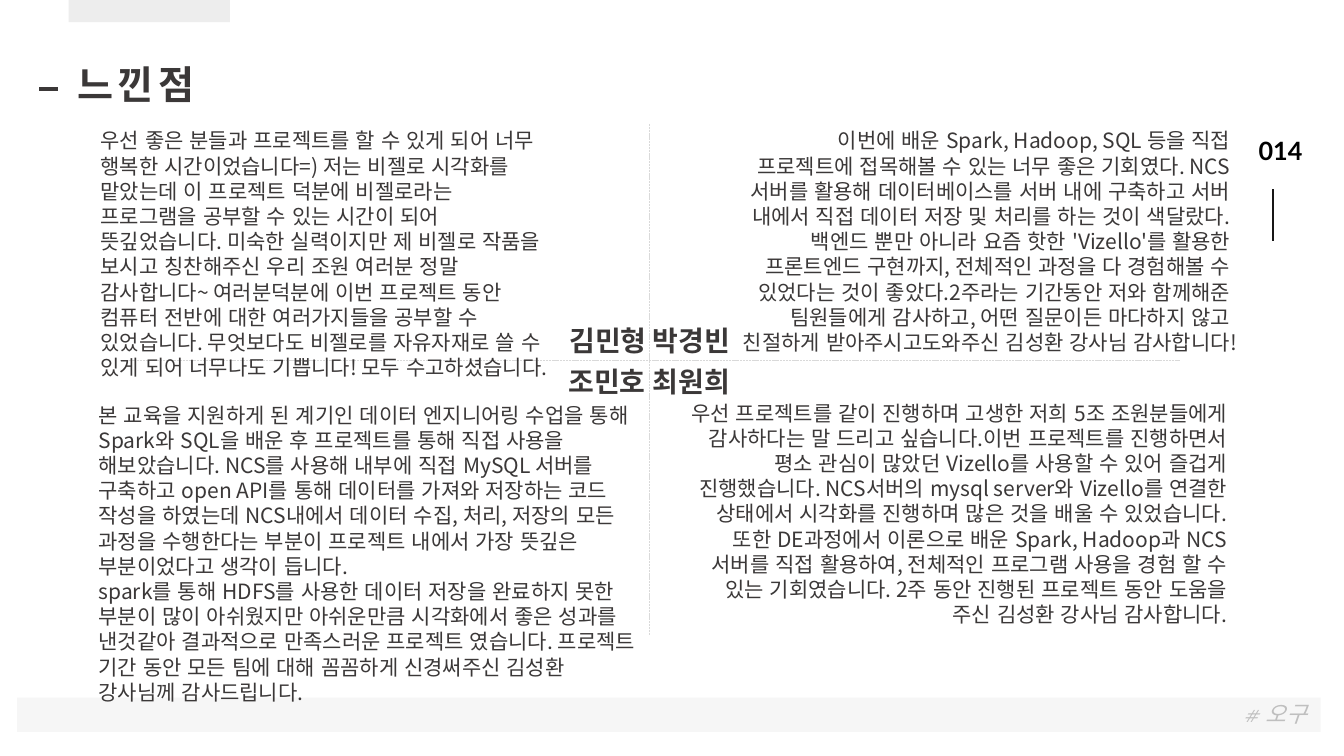
import dataclasses

import pptx
import pptx.dml.color
import pptx.enum.dml
import pptx.enum.lang
import pptx.enum.shapes
import pptx.enum.text
import pptx.oxml
import pptx.oxml.ns
import pptx.util
from pptx.util import Inches, Pt

ALIGN = pptx.enum.text.PP_ALIGN
ANCHOR = pptx.enum.text.MSO_ANCHOR


@dataclasses.dataclass(frozen=True)
class Theme:
    body_font: str = "Noto Sans CJK KR"
    number_font: str = "Lato"
    hash_font: str = "Manrope"
    team_font: str = "Roboto"
    ink: str = "3B3838"
    black: str = "000000"
    number_rule: str = "181717"
    divider: str = "D9D9D9"
    muted: str = "BFBFBF"
    band: str = "F6F6F6"
    tab: str = "EDEDED"
    title_size: int = 28
    name_size: int = 20
    number_size: int = 18
    team_size: int = 16
    body_size: int = 15
    hash_size: int = 12
    line_pitch: int = 18


THEME = Theme()

MINHYUNG = (
    "우선 좋은 분들과 프로젝트를 할 수 있게 되어 너무 행복한 시간이었습니다=) 저는 비젤로 시각화를 "
    "맡았는데 이 프로젝트 덕분에 비젤로라는 프로그램을 공부할 수 있는 시간이 되어 뜻깊었습니다. "
    "미숙한 실력이지만 제 비젤로 작품을 보시고 칭찬해주신 우리 조원 여러분 정말 감사합니다~ "
    "여러분덕분에 이번 프로젝트 동안 컴퓨터 전반에 대한 여러가지들을 공부할 수 있었습니다. "
    "무엇보다도 비젤로를 자유자재로 쓸 수 있게 되어 너무나도 기쁩니다! 모두 수고하셨습니다."
)
KYUNGBIN = (
    "이번에 배운 Spark, Hadoop, SQL 등을 직접 프로젝트에 접목해볼 수 있는 너무 좋은 기회였다. "
    "NCS 서버를 활용해 데이터베이스를 서버 내에 구축하고 서버 내에서 직접 데이터 저장 및 처리를 "
    "하는 것이 색달랐다.백엔드 뿐만 아니라 요즘 핫한 'Vizello'를 활용한 프론트엔드 구현까지, "
    "전체적인 과정을 다 경험해볼 수 있었다는 것이 좋았다.2주라는 기간동안 저와 함께해준 "
    "팀원들에게 감사하고, 어떤 질문이든 마다하지 않고 친절하게 받아주시고도와주신 김성환 강사님 "
    "감사합니다!"
)
MINHO = (
    "본 교육을 지원하게 된 계기인 데이터 엔지니어링 수업을 통해 Spark와 SQL을 배운 후 프로젝트를 "
    "통해 직접 사용을 해보았습니다. NCS를 사용해 내부에 직접 MySQL 서버를 구축하고 open API를 통해 "
    "데이터를 가져와 저장하는 코드 작성을 하였는데 NCS내에서 데이터 수집, 처리, 저장의 모든 과정을 "
    "수행한다는 부분이 프로젝트 내에서 가장 뜻깊은 부분이었다고 생각이 듭니다.\v"
    "spark를 통해 HDFS를 사용한 데이터 저장을 완료하지 못한 부분이 많이 아쉬웠지만 아쉬운만큼 "
    "시각화에서 좋은 성과를 낸것같아 결과적으로 만족스러운 프로젝트 였습니다. 프로젝트 기간 동안 "
    "모든 팀에 대해 꼼꼼하게 신경써주신 김성환 강사님께 감사드립니다."
)
WONHEE = (
    "우선 프로젝트를 같이 진행하며 고생한 저희 5조 조원분들에게 감사하다는 말 드리고 "
    "싶습니다.이번 프로젝트를 진행하면서 평소 관심이 많았던 Vizello를 사용할 수 있어 즐겁게 "
    "진행했습니다. NCS서버의 mysql server와 Vizello를 연결한 상태에서 시각화를 진행하며 많은 것을 "
    "배울 수 있었습니다.\v"
    "또한 DE과정에서 이론으로 배운 Spark, Hadoop과 NCS서버를 직접 활용하여, 전체적인 프로그램 "
    "사용을 경험 할 수 있는 기회였습니다. 2주 동안 진행된 프로젝트 동안 도움을 주신 김성환 강사님 "
    "감사합니다."
)

# Name, its box, comment, its box, comment alignment
MEMBERS = [
    ("김민형", (5.48, 3.18, 1.1, 0.47), MINHYUNG, (0.9, 1.22, 4.7, 1.97), ALIGN.LEFT),
    ("박경빈", (6.31, 3.18, 1.1, 0.47), KYUNGBIN, (7.23, 1.22, 5.07, 2.08), ALIGN.RIGHT),
    ("조민호", (5.47, 3.59, 1.1, 0.47), MINHO, (0.88, 3.94, 5.57, 1.97), ALIGN.LEFT),
    ("최원희", (6.31, 3.59, 1.1, 0.47), WONHEE, (6.7, 3.92, 5.57, 1.97), ALIGN.RIGHT),
]


def rgb(color):
    return pptx.dml.color.RGBColor.from_string(color)


def style_font(font, face, size, color, bold=False, italic=False):
    font.name, font.size, font.bold, font.italic = face, Pt(size), bold, italic
    font.color.rgb = rgb(color)


def add_text(slide, box, text, size, align, face=THEME.body_font, color=THEME.ink,
             bold=False, anchor=ANCHOR.TOP, wrap=True, pitch=THEME.line_pitch):
    frame = slide.shapes.add_textbox(*map(Inches, box)).text_frame
    frame.word_wrap, frame.vertical_anchor = wrap, anchor
    paragraph = frame.paragraphs[0]
    paragraph.text, paragraph.alignment = text, align
    paragraph.line_spacing = Pt(pitch)
    style_font(paragraph.font, face, size, color, bold)
    for run in paragraph.runs:
        run.font.language_id = pptx.enum.lang.MSO_LANGUAGE_ID.KOREAN
    return paragraph


def add_block(slide, box, color):
    block = slide.shapes.add_shape(
        pptx.enum.shapes.MSO_SHAPE.RECTANGLE, *map(Inches, box))
    block.shadow.inherit = False
    block.fill.solid()
    block.fill.fore_color.rgb = rgb(color)
    block.line.fill.background()


def add_rule(slide, start, end, color, width, dash=None):
    rule = slide.shapes.add_connector(
        pptx.enum.shapes.MSO_CONNECTOR.STRAIGHT, *map(Inches, start + end))
    rule.line.color.rgb = rgb(color)
    rule.line.width = Pt(width)
    if dash:
        rule.line.dash_style = dash
    rule._element.spPr.append(pptx.oxml.parse_xml(
        f"<a:effectLst {pptx.oxml.ns.nsdecls('a')}/>"))


def add_page_number(slide, left, top):
    add_text(slide, (left, top, 0.64, 0.4), "014", THEME.number_size, ALIGN.CENTER,
             THEME.number_font, THEME.black, bold=True, wrap=False, pitch=21.6)
    add_rule(slide, (left + 0.25, top + 0.59), (left + 0.25, top + 1.1),
             THEME.number_rule, 1.5)


def add_footer(slide, left, top, width):
    add_block(slide, (left, top, width, 0.34), THEME.band)
    team = add_text(slide, (left + width - 0.91, top, 0.91, 0.41), "",
                    THEME.team_size, ALIGN.CENTER)
    for text, face, size in [("#", THEME.hash_font, THEME.hash_size),
                             (" ", THEME.team_font, THEME.name_size),
                             ("오구", THEME.team_font, THEME.team_size)]:
        run = team.add_run()
        run.text = text
        style_font(run.font, face, size, THEME.muted, italic=True)


def add_heading(slide, left, top):
    """Place the title with the dash before it and the tab above it."""
    add_block(slide, (left + 0.01, 0, 1.6, 0.22), THEME.tab)
    title = slide.shapes.title
    title.left, title.top = Inches(left), Inches(top)
    title.width, title.height = Inches(3.37), Inches(0.63)
    frame = title.text_frame
    frame.word_wrap, frame.vertical_anchor = True, ANCHOR.TOP
    frame.auto_size = pptx.enum.text.MSO_AUTO_SIZE.NONE
    paragraph = frame.paragraphs[0]
    paragraph.text, paragraph.alignment = "느낀점", ALIGN.LEFT
    paragraph.line_spacing = 0.9
    style_font(paragraph.font, THEME.body_font, THEME.title_size, THEME.ink, bold=True)
    paragraph.runs[0].font._element.set("spc", "300")
    add_rule(slide, (left - 0.28, top + 0.28), (left - 0.09, top + 0.28),
             THEME.ink, 2.75)


def add_comments(slide, left, top, right, bottom):
    """Place the cross of dividers, then each member's name and comment."""
    dash = pptx.enum.dml.MSO_LINE.SQUARE_DOT
    center_x, center_y = (left + right) / 2, 3.58
    add_rule(slide, (center_x, top), (center_x, bottom), THEME.divider, 0.5, dash)
    add_rule(slide, (left, center_y), (right, center_y), THEME.divider, 0.5, dash)
    for name, name_box, comment, comment_box, align in MEMBERS:
        add_text(slide, name_box, name, THEME.name_size, ALIGN.CENTER,
                 bold=True, anchor=ANCHOR.MIDDLE)
        add_text(slide, comment_box, comment, THEME.body_size, align)


def main():
    deck = pptx.Presentation()
    deck.slide_width, deck.slide_height = Inches(13.33), Inches(7.5)
    slide = deck.slides.add_slide(deck.slide_layouts.get_by_name("Title Only"))
    add_page_number(slide, 12.38, 1.29)
    add_footer(slide, 0.17, 6.92, 12.93)
    add_heading(slide, 0.67, 0.6)
    add_comments(slide, 1.19, 1.23, 11.7, 6.3)
    deck.save("out.pptx")


if __name__ == "__main__":
    main()
